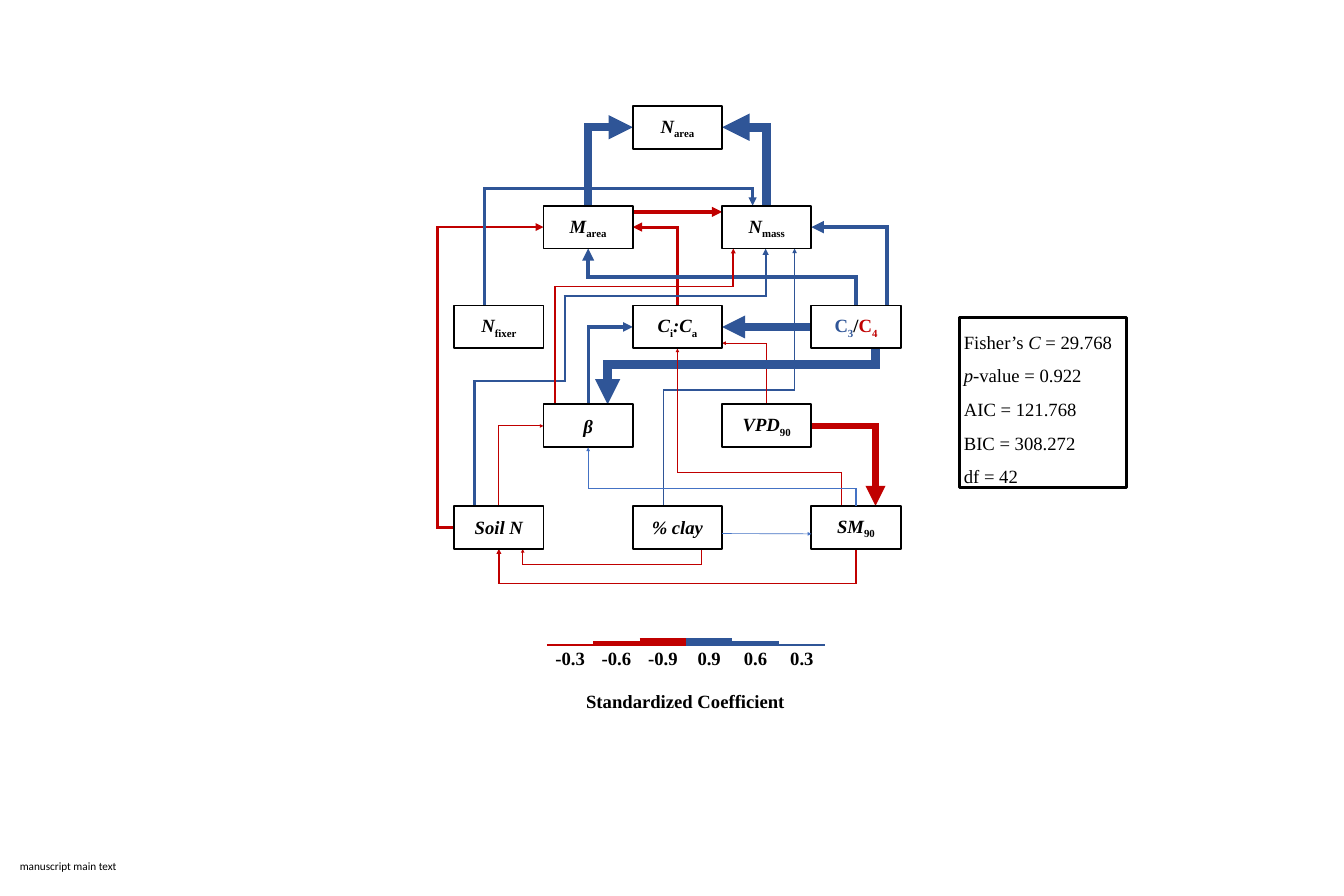
from lxml import etree
from pptx import Presentation
from pptx.dml.color import RGBColor
from pptx.enum import shapes as sh, text as tx
from pptx.oxml.ns import qn
from pptx.util import Pt

RED, BLUE, LIGHT, BLACK, WHITE = "C00000", "2F5597", "4472C4", "000000", "FFFFFF"


def paint(fmt, hue):
    fmt.solid()
    fmt.fore_color.rgb = RGBColor.from_string(hue)


class Chart:
    """Style and current slide of the path diagram."""
    face, size = "Times New Roman", 30

    def __init__(self, deck):
        self.items = deck.slides.add_slide(deck.slide_layouts[6]).shapes

    def prose(self, para, runs, bold=True, face=None, size=None):
        """Runs are (text, marks, hue); marks: i = italic, s = subscript."""
        font = para.font
        font.name, font.size, font.bold = face or self.face, Pt(size or self.size), bold
        paint(font.fill, BLACK)
        for words, marks, *hue in runs:
            run = para.add_run()
            run.text = words
            if "i" in marks:
                run.font.italic = True
            if "s" in marks:
                run._r.get_or_add_rPr().set("baseline", "-25000")
            if hue:
                paint(run.font.fill, hue[0])

    def label(self, mid, top, wide, words, **look):
        box = self.items.add_textbox(Pt(mid - wide / 2), Pt(top), Pt(wide), Pt(44))
        frame = box.text_frame
        frame.word_wrap = False
        frame.paragraphs[0].alignment = tx.PP_ALIGN.CENTER
        self.prose(frame.paragraphs[0], [(words, "")], **look)

    def box(self, left, top, wide, high, edge):
        box = self.items.add_shape(sh.MSO_SHAPE.RECTANGLE, Pt(left), Pt(top), Pt(wide), Pt(high))
        box.shadow.inherit = False
        paint(box.fill, WHITE)
        paint(box.line.fill, BLACK)
        box.line.width = Pt(edge)
        return box

    def node(self, left, top, runs):
        box = self.box(left, top, WIDE, HIGH, 3)
        frame = box.text_frame
        frame.vertical_anchor = tx.MSO_ANCHOR.MIDDLE
        frame.paragraphs[0].alignment = tx.PP_ALIGN.CENTER
        self.prose(frame.paragraphs[0], runs)
        return box

    def panel(self, left, top, wide, high, rows):
        frame = self.box(left, top, wide, high, 4).text_frame
        frame.word_wrap = True
        frame.vertical_anchor = tx.MSO_ANCHOR.TOP
        for k, runs in enumerate(rows):
            para = frame.add_paragraph() if k else frame.paragraphs[0]
            para.alignment, para.line_spacing = tx.PP_ALIGN.LEFT, 1.5
            self.prose(para, runs, bold=False)

    def line(self, hue, width, start, end, head=True, kind=sh.MSO_CONNECTOR.STRAIGHT):
        line = self.items.add_connector(kind, *map(Pt, start + end))
        paint(line.line.fill, hue)
        line.line.width = Pt(width)
        pen = line._element.spPr.find(qn("a:ln"))
        etree.SubElement(pen, qn("a:miter"), lim="800000")
        if head:
            etree.SubElement(pen, qn("a:tailEnd"), type="triangle")
        etree.SubElement(line._element.spPr, qn("a:effectLst"))
        return line

    def elbow(self, hue, width, start, end, first, mid=None, head=True):
        """First is the leading direction, v or h; mid is where a three-part line turns."""
        line = self.line(hue, width, start, end, head, sh.MSO_CONNECTOR.ELBOW)
        (x, y), (dx, dy) = start, (end[0] - start[0], end[1] - start[1])
        wide, high = abs(dx), abs(dy)
        if first == "v":
            wide, high = high, wide
            turn, flips = (90, "") if dy > 0 else (270, "v") if dx < 0 else (90, "hv")
        elif mid is None:
            turn, flips = 0, "v" if dy < 0 else ""
        else:
            turn, flips = 180, "h" if dx > 0 else ""
        line.left, line.top = Pt(x + dx / 2 - wide / 2), Pt(y + dy / 2 - high / 2)
        line.width, line.height = Pt(wide), Pt(high)
        # Rotation, mirroring and bend point
        xfrm = line._element.spPr.find(qn("a:xfrm"))
        xfrm.set("rot", str(turn * 60000))
        for axis in "hv":
            xfrm.set("flip" + axis.upper(), str(int(axis in flips)))
        geom = line._element.spPr.find(qn("a:prstGeom"))
        if mid is None:
            geom.set("prst", "bentConnector2")
        else:
            part = (mid - y) / dy if first == "v" else (mid - x) / dx
            bends = geom.find(qn("a:avLst"))
            etree.SubElement(bends, qn("a:gd"), name="adj1", fmla=f"val {round(part * 100000)}")


# Grid of nodes
WIDE, HIGH = 143.5, 69
COLS = [730 + WIDE * k for k in range(5)]
ROWS = [170, 330.5, 491, 650, 813]
MID = [left + WIDE / 2 for left in COLS]
LOW = [top + HIGH for top in ROWS]
ROW = [top + HIGH / 2 for top in ROWS]

NODES = {  # name: column, row, runs
    "vpd": (3, 3, [("VPD", "i"), ("90", "s")]),
    "narea": (2, 0, [("Ν", "i"), ("area", "s")]),
    "c3c4": (4, 2, [("C", "", BLUE), ("3", "s", BLUE), ("/", ""), ("C", "", RED), ("4", "s", RED)]),
    "marea": (1, 1, [("M", "i"), ("area", "s")]),
    "nmass": (3, 1, [("N", "i"), ("mass", "s")]),
    "beta": (1, 3, [("β", "i")]),
    "soil": (0, 4, [("Soil N", "i")]),
    "fixer": (0, 2, [("N", "i"), ("fixer", "s")]),
    "clay": (2, 4, [("% clay", "i")]),
    "cica": (2, 2, [("C", "i"), ("i", "s"), (":C", "i"), ("a", "s")]),
    "sm": (4, 4, [("SM", "i"), ("90", "s")]),
}

ELBOWS = [  # hue, width, start, end, first direction, turn, head
    (BLUE, 14.75, (MID[3], ROWS[1]), (COLS[3], ROW[0]), "v"),
    (BLUE, 12.97, (MID[1], ROWS[1]), (COLS[2], ROW[0]), "v"),
    (RED, 4.97, (MID[2], ROWS[2]), (COLS[2], ROW[1]), "v"),
    (RED, 4.29, (COLS[0], ROW[4]), (COLS[1], ROW[1]), "h", 702.7),
    (BLUE, 6.5, (MID[4], ROWS[2]), (MID[1], LOW[1]), "v", 445.5),
    (BLUE, 2.42, (1066, ROWS[4]), (1277, LOW[1]), "v", 627),
    (BLUE, 4.45, (779, ROWS[2]), (1209.5, ROWS[1]), "v", 302.5),
    (BLUE, 6.66, (1425, ROWS[2]), (COLS[4], ROW[1]), "v"),
    (BLUE, 5.25, (MID[1], ROWS[3]), (COLS[2], ROW[2]), "v"),
    (RED, 1.55, (MID[3], 676), (COLS[3], 551.5), "v"),
    (RED, 1.4, (MID[0], ROWS[4]), (COLS[1], ROW[3]), "v"),
    (BLUE, 13.6, (1407, LOW[2]), (976.5, ROWS[3]), "v", 586),
    (RED, 2.62, (MID[4], LOW[4]), (MID[0], LOW[4] + 0.2), "v", 938),
    (RED, 1.75, (1127.5, LOW[4]), (840, LOW[4] + 0.2), "v", 908),
    (RED, 10.78, (COLS[4], ROW[3]), (1407, ROWS[4]), "h"),
    (BLUE, 3.41, (762.5, ROWS[4]), (908, 476), "v", 612.5, False),
    (BLUE, 3.41, (906, 476.5), (1230.5, LOW[1]), "h"),
    (RED, 1.12, (1329, 833), (MID[2], 759), "h", 1351.5, False),
    (RED, 2.65, (891.5, ROWS[3]), (1178.5, LOW[1]), "v", 460.5),
]

FIT = [
    [("Fisher’s ", ""), ("C ", "i"), ("= 29.768", "")],
    [("p", "i"), ("-value = 0.922", "")],
    [("AIC = 121.768", "")],
    [("BIC = 308.272", "")],
    [("df = 42", "")],
]

LEGEND = [("-0.3", RED, 3.75), ("-0.6", RED, 7.5), ("-0.9", RED, 13),
          ("0.9", BLUE, 13), ("0.6", BLUE, 7.5), ("0.3", BLUE, 3.75)]


def main():
    deck = Presentation()
    deck.slide_width, deck.slide_height = Pt(2160), Pt(1440)
    art = Chart(deck)

    # Legend: bars share one lower edge
    step, base = 74.5, 1038.25
    for k, (words, hue, width) in enumerate(LEGEND):
        left, y = 879 + step * k, base - width / 2
        art.line(hue, width, (left, y), (left + step, y), head=False)
        art.label(left + step / 2, 1035.5, 62, words)
    art.label(1101.5, 1104.5, 337, "Standardized Coefficient")

    # Paths below the nodes
    for route in ELBOWS:
        art.elbow(*route)
    art.line(RED, 5.46, (COLS[2], 340.5), (COLS[3], 340.5))
    across = art.line(BLUE, 12.33, (COLS[4], ROW[2]), (COLS[3], ROW[2]))
    rise = art.line(RED, 1.12, (MID[2], 759), (MID[2], LOW[2]))

    # Nodes and the joins of straight paths
    nodes = {name: art.node(COLS[c], ROWS[r], runs) for name, (c, r, runs) in NODES.items()}
    across.begin_connect(nodes["c3c4"], 1)
    across.end_connect(nodes["cica"], 3)
    rise.end_connect(nodes["cica"], 2)

    # Paths above the nodes
    art.elbow(LIGHT, 1.69, (MID[4], ROWS[4]), (MID[1], LOW[3]), "v", 785)
    art.line(LIGHT, 1.06, (COLS[3], 857.5), (COLS[4], 858))

    # Model fit and footer
    art.panel(1542, 510, 268.5, 273.5, FIT)
    art.label(109.5, 1378, 171, "manuscript main text", bold=False, face="Calibri", size=18)
    deck.save("out.pptx")


if __name__ == "__main__":
    main()
